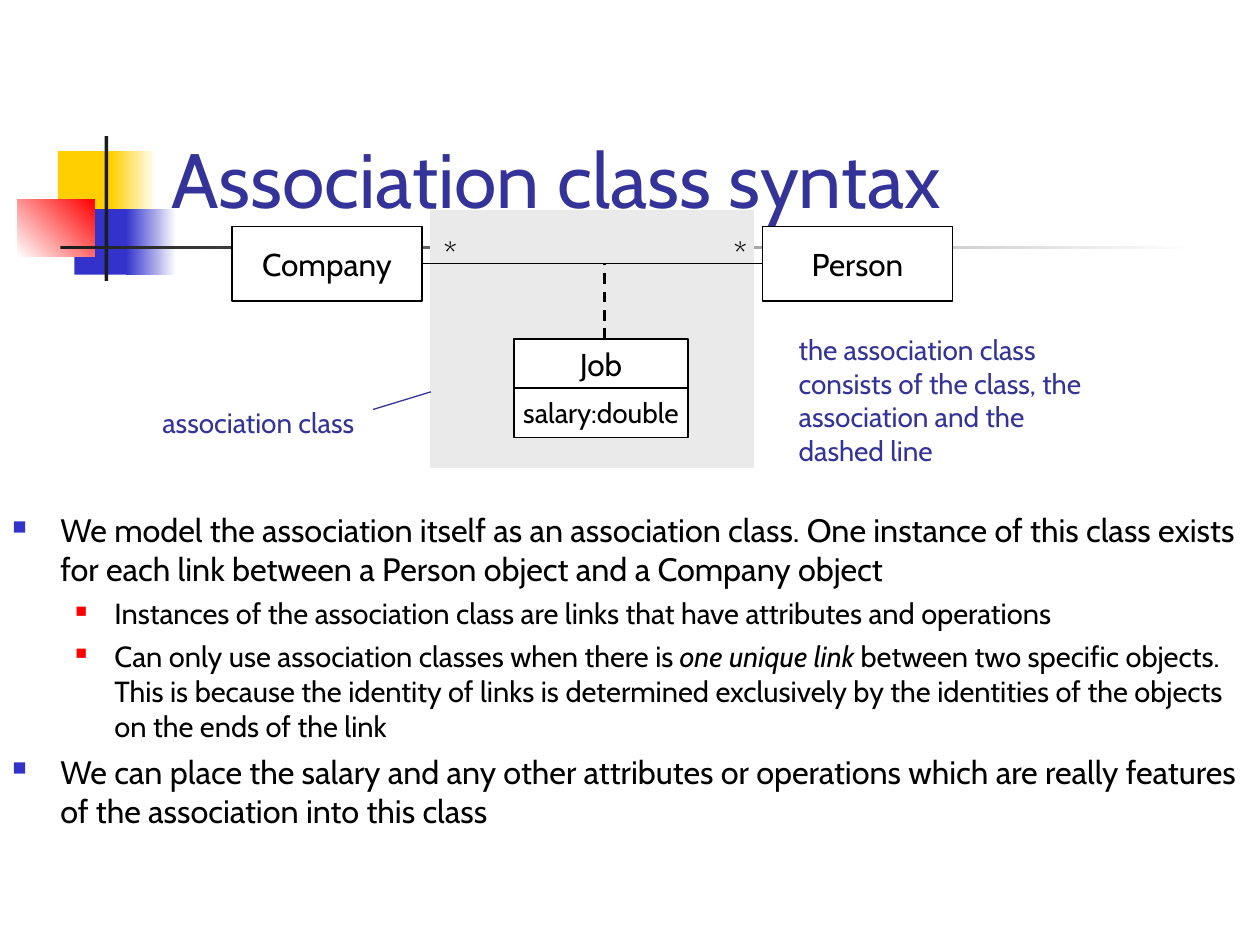
from dataclasses import dataclass

from lxml import etree
from pptx import Presentation
from pptx import util as u
from pptx.dml import color
from pptx.enum import dml, shapes, text
from pptx.oxml import ns

FONT = "Cabin"
BLACK, WHITE, NAVY, PALE = "000000", "FFFFFF", "333399", "EAEAEA"
YELLOW, BLUE, RED, DARK = "FFCF01", "3333CC", "FF0000", "1C1C1C"


@dataclass
class Block:
    left: float
    top: float
    width: float
    height: float
    fill: str
    fade: str = ""
    angle: float = 0
    line: str = ""
    label: str = ""
    size: float = 18


@dataclass
class Label:
    left: float
    top: float
    width: float
    height: float
    wording: str
    size: float
    ink: str = NAVY
    wrap: bool = False
    align: text.PP_ALIGN = text.PP_ALIGN.LEFT
    anchor: text.MSO_ANCHOR = text.MSO_ANCHOR.TOP


@dataclass
class Link:
    start: tuple[float, float]
    end: tuple[float, float]
    ink: str = BLACK
    weight: float = 0.75
    dashed: bool = False


@dataclass
class BulletStyle:
    margin: float
    hanging: float
    space: float
    ink: str
    percent: int
    size: float


@dataclass
class Bullet:
    level: int
    runs: tuple[str, ...]
    italic_run: int = -1


def rgb(value: str) -> color.RGBColor:
    return color.RGBColor.from_string(value)


def set_font(paragraph, size: float, ink: str) -> None:
    paragraph.font.name = FONT
    paragraph.font.size = u.Pt(size)
    paragraph.font.color.rgb = rgb(ink)


def draw_block(container, block: Block) -> None:
    shape = container.add_shape(
        shapes.MSO_SHAPE.RECTANGLE,
        *map(u.Inches, (block.left, block.top, block.width, block.height)),
    )
    shape.shadow.inherit = False
    if block.fade:
        shape.fill.gradient()
        shape.fill.gradient_angle = block.angle
        for stop, value in zip(shape.fill.gradient_stops, (block.fill, block.fade)):
            stop.color.rgb = rgb(value)
    else:
        shape.fill.solid()
        shape.fill.fore_color.rgb = rgb(block.fill)
    if block.line:
        shape.line.color.rgb = rgb(block.line)
        shape.line.width = u.Pt(0.75)
    else:
        shape.line.fill.background()
    if block.label:
        frame = shape.text_frame
        frame.word_wrap = False
        frame.vertical_anchor = text.MSO_ANCHOR.MIDDLE
        paragraph = frame.paragraphs[0]
        paragraph.text = block.label
        paragraph.alignment = text.PP_ALIGN.CENTER
        set_font(paragraph, block.size, BLACK)


def draw_label(container, label: Label) -> None:
    shape = container.add_textbox(
        *map(u.Inches, (label.left, label.top, label.width, label.height))
    )
    frame = shape.text_frame
    frame.word_wrap = label.wrap
    frame.vertical_anchor = label.anchor
    paragraph = frame.paragraphs[0]
    paragraph.text = label.wording
    paragraph.alignment = label.align
    set_font(paragraph, label.size, label.ink)


def draw_link(container, link: Link) -> None:
    connector = container.add_connector(
        shapes.MSO_CONNECTOR.STRAIGHT, *map(u.Inches, link.start + link.end)
    )
    connector.line.color.rgb = rgb(link.ink)
    connector.line.width = u.Pt(link.weight)
    if link.dashed:
        connector.line.dash_style = dml.MSO_LINE.DASH
    etree.SubElement(connector._element.spPr, ns.qn("a:effectLst"))


def add_bullet(paragraph, style: BulletStyle) -> None:
    properties = paragraph._p.get_or_add_pPr()
    properties.set("marL", str(u.Inches(style.margin)))
    properties.set("indent", str(-u.Inches(style.hanging)))
    tint = etree.SubElement(properties, ns.qn("a:buClr"))
    etree.SubElement(tint, ns.qn("a:srgbClr"), val=style.ink)
    etree.SubElement(properties, ns.qn("a:buSzPct"), val=str(style.percent * 1000))
    etree.SubElement(properties, ns.qn("a:buChar"), char="■")


def draw_bullets(container, bullets: list[Bullet], styles: list[BulletStyle]) -> None:
    shape = container.add_textbox(*map(u.Inches, (0, 4, 9.92, 3)))
    frame = shape.text_frame
    frame.word_wrap = True
    for index, bullet in enumerate(bullets):
        style = styles[bullet.level]
        paragraph = frame.add_paragraph() if index else frame.paragraphs[0]
        paragraph.level = bullet.level
        add_bullet(paragraph, style)
        paragraph.space_before = u.Pt(style.space if index else 0)
        set_font(paragraph, style.size, BLACK)
        for position, wording in enumerate(bullet.runs):
            run = paragraph.add_run()
            run.text = wording
            if position == bullet.italic_run:
                run.font.italic = True


DECORATION = [
    Block(0.46, 1.2, 0.48, 0.52, YELLOW),
    Block(0.88, 1.2, 0.36, 0.52, YELLOW, WHITE),
    Block(0.59, 1.66, 0.46, 0.52, BLUE),
    Block(1, 1.66, 0.4, 0.52, BLUE, WHITE),
    Block(0.14, 1.58, 0.61, 0.46, WHITE, RED, angle=45),
    Block(0.83, 1.08, 0.03, 1.15, DARK),
    Block(0.48, 1.95, 9, 0.03, DARK, WHITE),
]
HIGHLIGHT = Block(3.42, 1.67, 2.56, 2.04, PALE, line=PALE)
TITLE = Label(1.26, 0.23, 8.52, 1.6, "Association class syntax", 44,
              wrap=True, anchor=text.MSO_ANCHOR.BOTTOM)
CLASSES = [
    Block(left, 1.8, 1.51, 0.59, WHITE, line=BLACK, label=name)
    for left, name in ((1.84, "Company"), (6.05, "Person"))
]
JOB_ROWS = [
    Block(4.08, top, 1.38, 0.39, WHITE, line=BLACK, label=name, size=size)
    for top, name, size in ((2.69, "Job", 18), (3.08, "salary:double", 16))
]
LABELS = [
    Label(left, 1.81, 0.31, 0.4, "*", 18, BLACK, align=text.PP_ALIGN.CENTER)
    for left in (3.42, 5.72)
] + [
    Label(6.24, 2.59, 2.51, 1.17, "the association class consists of the class, "
          "the association and the dashed line", 16, wrap=True),
    Label(1.19, 3.17, 1.92, 0.37, "association class", 16),
]
LINKS = [
    Link((3.36, 2.09), (6.05, 2.09)),
    Link((4.8, 2.69), (4.8, 2.09), weight=1.5, dashed=True),
    Link((2.96, 3.25), (3.42, 3.11), NAVY),
]
STYLES = [
    BulletStyle(0.38, 0.38, 5, BLUE, 60, 18.5),
    BulletStyle(0.81, 0.31, 4.5, RED, 55, 16.6),
]
BULLETS = [
    Bullet(0, ("We model the association itself as an association class. One instance of "
               "this class exists for each link between a Person object and a Company object",)),
    Bullet(1, ("Instances of the association class are links that have attributes and operations",)),
    Bullet(1, ("Can only use association classes when there is ", "one unique link",
               " between two specific objects. This is because the identity of links is determined "
               "exclusively by the identities of the objects on the ends of the link"), italic_run=1),
    Bullet(0, ("We can place the salary and any other attributes or operations which are "
               "really features of the association into this class",)),
]


def main() -> None:
    presentation = Presentation()
    presentation.slide_width, presentation.slide_height = u.Inches(10), u.Inches(7.5)
    slide = presentation.slides.add_slide(presentation.slide_layouts[6])
    for block in DECORATION + [HIGHLIGHT]:
        draw_block(slide.shapes, block)
    draw_label(slide.shapes, TITLE)
    draw_bullets(slide.shapes, BULLETS, STYLES)
    for block in CLASSES:
        draw_block(slide.shapes, block)
    job = slide.shapes.add_group_shape()
    for row in JOB_ROWS:
        draw_block(job.shapes, row)
    for link in LINKS:
        draw_link(slide.shapes, link)
    for label in LABELS:
        draw_label(slide.shapes, label)
    presentation.save("out.pptx")


if __name__ == "__main__":
    main()
